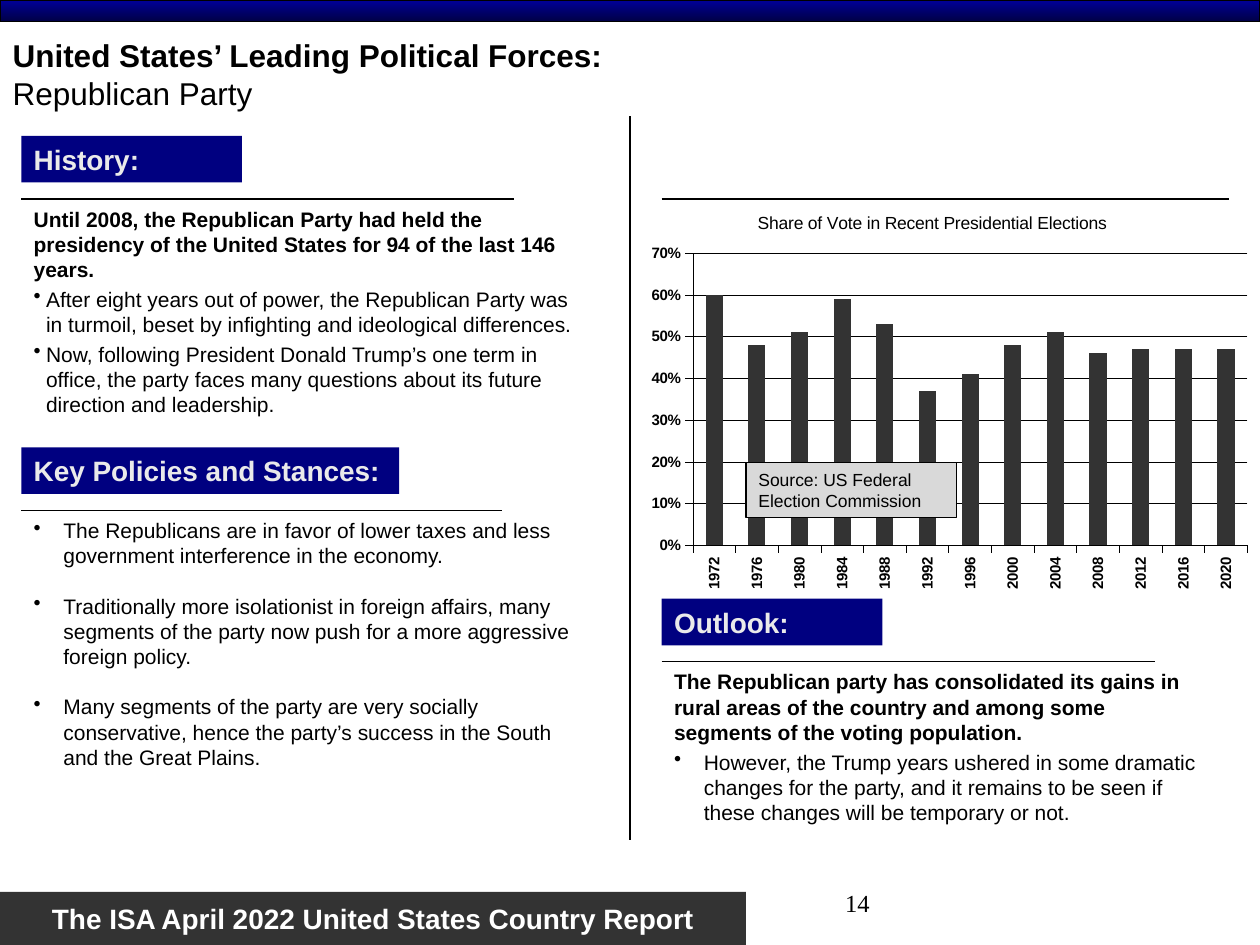
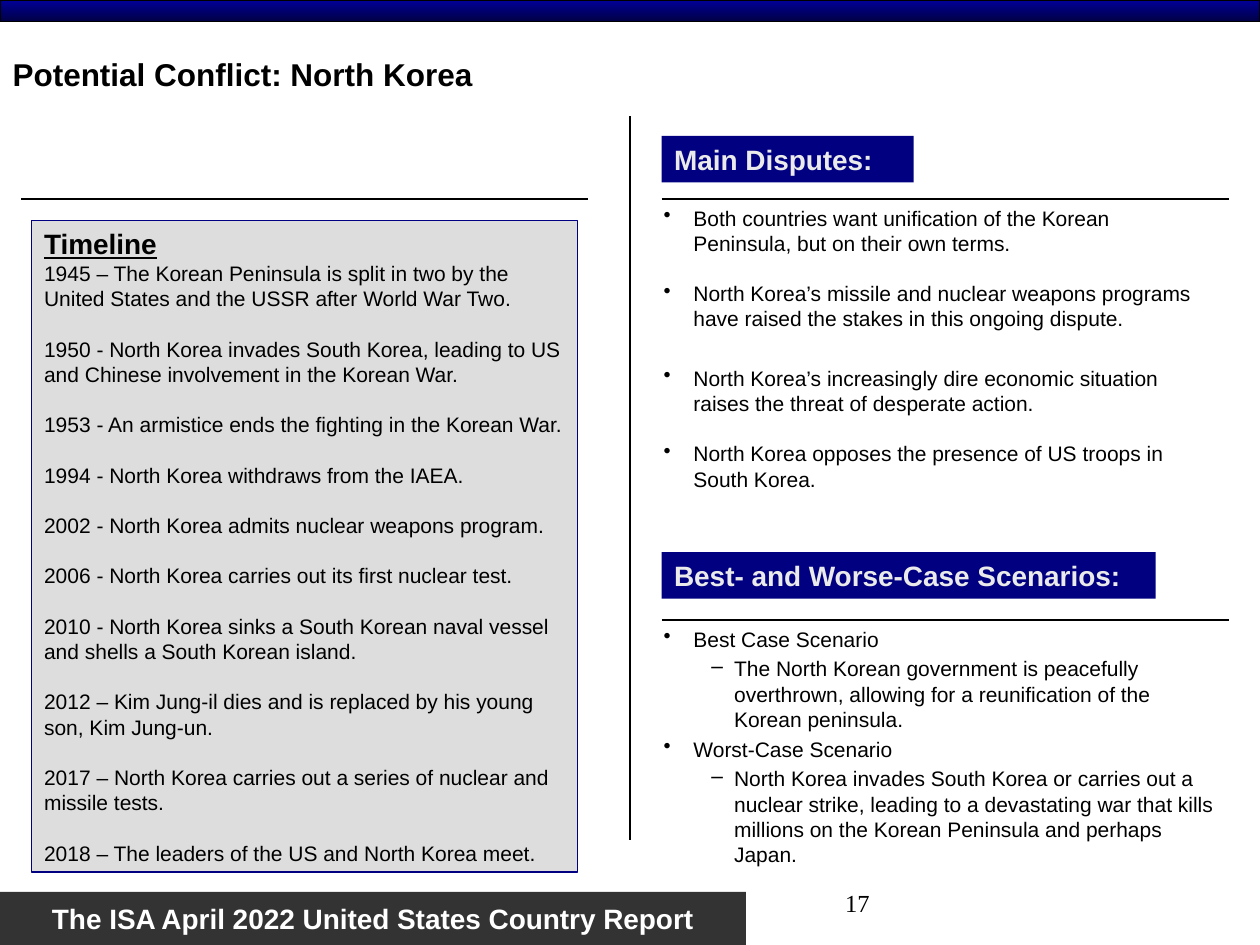
from pptx import Presentation, oxml
from pptx import util as u
from pptx.chart import data as chart_data
from pptx.dml import color as dml
from pptx.enum import chart as charts, shapes, text
from pptx.oxml import ns

COLORS = {
    "black": "000000", "white": "FFFFFF", "navy": "000080", "dark": "333333",
    "label": "EAEAEA", "note": "D9D9D9", "panel": "DDDDDD",
    "band_top": "000099", "band_bottom": "000047",
}
LEFT, RIGHT = 0.43, 13.34      # left edges of the two columns, in cm
RULE_TOP = 4.01                # height of the upper rules
SMALL_GAP, LINE_GAP = 2.6, 14.4  # paragraph spacing, in points
HANG = 0.6


def rgb(name):
    return dml.RGBColor.from_string(COLORS[name])


def style_font(font, size=12, bold=False, color="black", name="Arial", underline=None):
    font.size, font.bold, font.name = u.Pt(size), bold, name
    font.color.rgb = rgb(color)
    font.underline = underline


def write(para, words, **style):
    """Add one formatted span to a paragraph."""
    span = para.add_run()
    span.text = words
    style_font(span.font, **style)
    return span


def item(words, bullet=None, before=0, hang=HANG, margin=None, level=0, **style):
    """Describe one paragraph of a text box."""
    return {"words": words, "bullet": bullet, "before": before, "hang": hang,
            "margin": hang if margin is None else margin, "level": level, "style": style}


def fill_frame(frame, items):
    for index, entry in enumerate(items):
        para = frame.paragraphs[0] if index == 0 else frame.add_paragraph()
        para.alignment = text.PP_ALIGN.LEFT
        para.level = entry["level"]
        para.space_before = u.Pt(entry["before"])
        if entry["bullet"]:
            props = para._p.get_or_add_pPr()
            props.set("marL", str(u.Cm(entry["margin"])))
            props.set("indent", str(-u.Cm(entry["hang"])))
            mark = oxml.parse_xml(f'<a:buChar {ns.nsdecls("a")} char="{entry["bullet"]}"/>')
            props.append(mark)
        write(para, entry["words"], **entry["style"])


def place_part(parent, position, **fractions):
    """Give a chart part a manual layout, in fractions of the chart."""
    previous = parent.find(ns.qn("c:layout"))
    if previous is not None:
        parent.remove(previous)
    modes = '<c:xMode val="edge"/><c:yMode val="edge"/>'
    values = "".join(f'<c:{key} val="{value}"/>' for key, value in fractions.items())
    target = '<c:layoutTarget val="inner"/>' if "w" in fractions else ""
    parent.insert(position, oxml.parse_xml(
        f'<c:layout {ns.nsdecls("c")}><c:manualLayout>{target}{modes}{values}'
        '</c:manualLayout></c:layout>'))


class Report:
    def __init__(self):
        self.deck = Presentation()
        self.deck.slide_width, self.deck.slide_height = u.Cm(25.4), u.Cm(19.05)
        self.page = None

    def add_page(self, number, title, subtitle=None):
        self.page = self.deck.slides.add_slide(self.deck.slide_layouts[5])
        # Top band and footer
        band = self.rectangle(0, 0, 25.4, 0.43, line="black")
        band.fill.gradient()
        band.fill.gradient_angle = 270
        for stop, name in zip(band.fill.gradient_stops, ("band_top", "band_bottom")):
            stop.color.rgb = rgb(name)
        footer = self.rectangle(0, 17.98, 15.04, 1.07, "dark")
        footer.text_frame.word_wrap = False
        para = footer.text_frame.paragraphs[0]
        para.alignment = text.PP_ALIGN.CENTER
        write(para, "The ISA April 2022 United States Country Report",
              size=16, bold=True, color="white")
        # Page number
        box = self.page.shapes.add_textbox(*map(u.Cm, (12.5, 17.78, 5.28, 1.27)))
        box.text_frame.word_wrap = True
        para = box.text_frame.paragraphs[0]
        para.alignment = text.PP_ALIGN.RIGHT
        write(para, str(number), size=14, name="Times New Roman")
        # Title and column divider
        self.title(title, subtitle)
        self.rule(12.7, 2.34, 12.7, 16.94)

    def title(self, words, subtitle):
        box = self.page.shapes.title
        box.left, box.top, box.width, box.height = map(u.Cm, (0, 0.64, 18.42, 1.7))
        frame = box.text_frame
        frame.auto_size = text.MSO_AUTO_SIZE.NONE
        frame.vertical_anchor = text.MSO_ANCHOR.MIDDLE
        para = frame.paragraphs[0]
        para.alignment = text.PP_ALIGN.LEFT
        write(para, words, size=18, bold=True)
        if subtitle:
            para.add_line_break()
            write(para, subtitle, size=18)

    def rectangle(self, left, top, width, height, fill=None, line=None):
        box = self.page.shapes.add_shape(
            shapes.MSO_SHAPE.RECTANGLE, *map(u.Cm, (left, top, width, height)))
        box.shadow.inherit = False
        if fill:
            box.fill.solid()
            box.fill.fore_color.rgb = rgb(fill)
        if line:
            box.line.color.rgb = rgb(line)
            box.line.width = u.Pt(0.75)
        else:
            box.line.fill.background()
        box.text_frame.vertical_anchor = text.MSO_ANCHOR.MIDDLE
        return box

    def rule(self, x1, y1, x2, y2):
        line = self.page.shapes.add_connector(
            shapes.MSO_CONNECTOR.STRAIGHT, *map(u.Cm, (x1, y1, x2, y2)))
        line.line.color.rgb = rgb("black")
        line.line.width = u.Pt(0.75)
        line._element.spPr.append(oxml.parse_xml(f'<a:effectLst {ns.nsdecls("a")}/>'))

    def section(self, words, left, top, width, rule_width, drop=1.27):
        """Draw a heading label with a rule below it."""
        box = self.rectangle(left, top, width, 0.94, "navy")
        fill_frame(box.text_frame, [item(words, size=16, bold=True, color="label")])
        self.rule(left, top + drop, left + rule_width, top + drop)

    def body(self, left, top, width, height, items):
        box = self.page.shapes.add_textbox(*map(u.Cm, (left, top, width, height)))
        box.text_frame.word_wrap = True
        fill_frame(box.text_frame, items)

    def panel(self, left, top, width, height, items, fill, line,
              anchor=text.MSO_ANCHOR.MIDDLE):
        box = self.rectangle(left, top, width, height, fill, line)
        box.text_frame.vertical_anchor = anchor
        fill_frame(box.text_frame, items)

    def column_chart(self, left, top, width, height, title, years, shares):
        source = chart_data.CategoryChartData(number_format="0%")
        source.categories = years
        source.add_series("Share of vote", shares)
        chart = self.page.shapes.add_chart(
            charts.XL_CHART_TYPE.COLUMN_CLUSTERED,
            *map(u.Cm, (left, top, width, height)), source).chart
        style_font(chart.font, size=13, bold=True)
        chart.has_legend = False
        chart.has_title = True
        write(chart.chart_title.text_frame.paragraphs[0], title, size=10)
        # Columns
        plot = chart.plots[0]
        plot.gap_width = 150
        plot.vary_by_categories = False
        columns = plot.series[0].format.fill
        columns.solid()
        columns.fore_color.rgb = rgb("dark")
        # Axes
        years_axis, share_axis = chart.category_axis, chart.value_axis
        share_axis.minimum_scale, share_axis.maximum_scale = 0, 0.7
        share_axis.major_unit = 0.1
        share_axis.tick_labels.number_format = "0%"
        share_axis.tick_labels.number_format_is_linked = False
        years_axis.tick_label_position = charts.XL_TICK_LABEL_POSITION.LOW
        for axis in (years_axis, share_axis):
            axis.major_tick_mark = charts.XL_TICK_MARK.OUTSIDE
            style_font(axis.tick_labels.font, size=8.6, bold=True)
        for part in (years_axis, share_axis, share_axis.major_gridlines):
            part.format.line.color.rgb = rgb("black")
            part.format.line.width = u.Pt(0.25)
        # Upright year labels and fixed layout
        root = chart.element
        labels = root.find(f'.//{ns.qn("c:catAx")}/{ns.qn("c:txPr")}/{ns.qn("a:bodyPr")}')
        labels.set("rot", "-5400000")
        labels.set("vert", "horz")
        place_part(root.find(f'.//{ns.qn("c:plotArea")}'), 0, x=0.09, y=0.14, w=0.9, h=0.72)
        place_part(root.find(f'.//{ns.qn("c:title")}'), 1, x=0.19, y=0.03)


def republican_page(report):
    report.add_page(14, "United States’ Leading Political Forces:", "Republican Party")
    report.rule(RIGHT, RULE_TOP, 24.77, RULE_TOP)

    # History
    report.section("History:", LEFT, 2.74, 4.45, 9.93)
    report.body(LEFT, 4.03, 11.63, 4.57, [
        item("Until 2008, the Republican Party had held the presidency of the United States "
             "for 94 of the last 146 years.", bold=True),
        item("After eight years out of power, the Republican Party was in turmoil, beset by "
             "infighting and ideological differences.", "•", SMALL_GAP, hang=0.25),
        item("Now, following President Donald Trump’s one term in office, the party faces "
             "many questions about its future direction and leadership.",
             "•", SMALL_GAP, hang=0.25),
    ])

    # Policies
    report.section("Key Policies and Stances:", LEFT, 9.02, 7.62, 9.7)
    policies = [
        "The Republicans are in favor of lower taxes and less government interference in "
        "the economy.",
        "Traditionally more isolationist in foreign affairs, many segments of the party now "
        "push for a more aggressive foreign policy.",
        "Many segments of the party are very socially conservative, hence the party’s "
        "success in the South and the Great Plains.",
    ]
    report.body(LEFT, 10.31, 11.63, 6.78, [
        item(words, "•", LINE_GAP if index else 0) for index, words in enumerate(policies)])

    # Outlook
    report.section("Outlook:", RIGHT, 12.07, 4.45, 9.95)
    report.body(RIGHT, 13.36, 11.23, 3.61, [
        item("The Republican party has consolidated its gains in rural areas of the country "
             "and among some segments of the voting population.", bold=True),
        item("However, the Trump years ushered in some dramatic changes for the party, and "
             "it remains to be seen if these changes will be temporary or not.",
             "•", SMALL_GAP),
    ])

    # Election results
    report.column_chart(
        12.85, 3.96, 12.42, 8.18, "Share of Vote in Recent Presidential Elections",
        [str(year) for year in range(1972, 2021, 4)],
        [0.6, 0.48, 0.51, 0.59, 0.53, 0.37, 0.41, 0.48, 0.51, 0.46, 0.47, 0.47, 0.47])
    report.panel(15.04, 9.32, 4.24, 1.12,
                 [item("Source: US Federal Election Commission", size=10)], "note", "black")


def korea_page(report):
    report.add_page(17, "Potential Conflict: North Korea")
    report.rule(LEFT, RULE_TOP, 11.86, RULE_TOP)

    # Disputes
    report.section("Main Disputes:", RIGHT, 2.74, 5.08, 11.43)
    disputes = [
        ("Both countries want unification of the Korean Peninsula, but on their own terms.", 0),
        ("North Korea’s missile and nuclear weapons programs have raised the stakes in this "
         "ongoing dispute.", LINE_GAP),
        ("North Korea’s increasingly dire economic situation raises the threat of desperate "
         "action.", LINE_GAP + 2 * SMALL_GAP),
        ("North Korea opposes the presence of US troops in South Korea.", LINE_GAP),
    ]
    report.body(13.13, RULE_TOP, 11.33, 6.55,
                [item(words, "•", before) for words, before in disputes])

    # Scenarios
    report.section("Best- and Worse-Case Scenarios:", RIGHT, 11.13, 9.96, 11.43, drop=1.37)
    dash = {"bullet": "–", "before": SMALL_GAP, "hang": 0.46, "margin": 1.42, "level": 1}
    report.body(13.13, 12.5, 11.63, 5.08, [
        item("Best Case Scenario", "•"),
        item("The North Korean government is peacefully overthrown, allowing for a "
             "reunification of the Korean peninsula.", **dash),
        item("Worst-Case Scenario", "•", SMALL_GAP),
        item("North Korea invades South Korea or carries out a nuclear strike, leading to a "
             "devastating war that kills millions on the Korean Peninsula and perhaps Japan.",
             **dash),
    ])

    # Timeline
    events = [
        "1945 – The Korean Peninsula is split in two by the United States and the USSR after "
        "World War Two.",
        "1950 - North Korea invades South Korea, leading to US and Chinese involvement in the "
        "Korean War.",
        "1953 - An armistice ends the fighting in the Korean War.",
        "1994 - North Korea withdraws from the IAEA.",
        "2002 - North Korea admits nuclear weapons program.",
        "2006 - North Korea carries out its first nuclear test.",
        "2010 - North Korea sinks a South Korean naval vessel and shells a South Korean island.",
        "2012 – Kim Jung-il dies and is replaced by his young son, Kim Jung-un.",
        "2017 – North Korea carries out a series of nuclear and missile tests.",
        "2018 – The leaders of the US and North Korea meet.",
    ]
    heading = item("Timeline", size=16, bold=True, underline=True)
    entries = [item(words, before=LINE_GAP if index else 0)
               for index, words in enumerate(events)]
    report.panel(0.64, 4.45, 11, 13.13, [heading] + entries, "panel", "navy",
                 anchor=text.MSO_ANCHOR.TOP)


def main():
    report = Report()
    republican_page(report)
    korea_page(report)
    report.deck.save("out.pptx")


if __name__ == "__main__":
    main()
